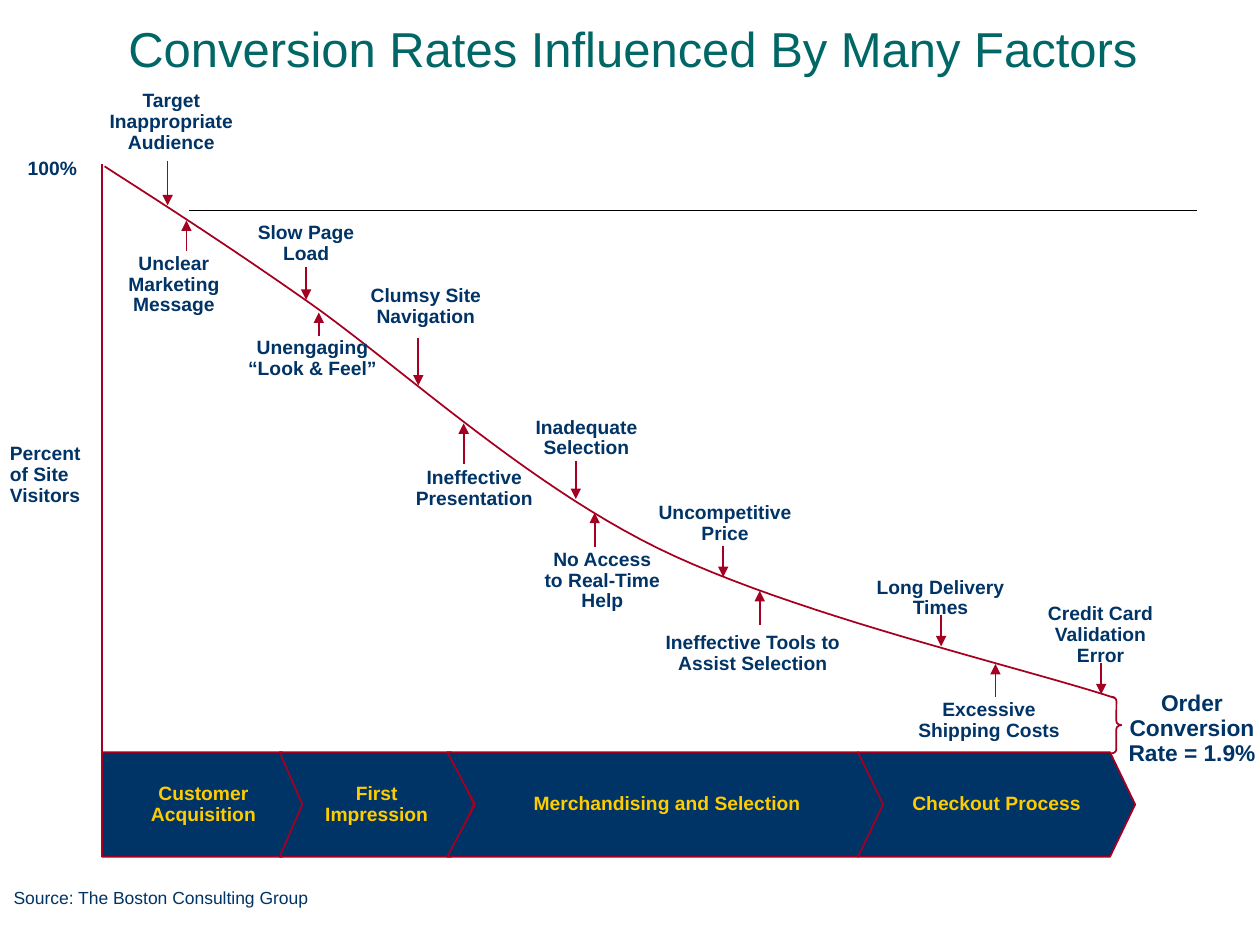
from lxml import etree
from pptx import Presentation, util as u
from pptx.dml.color import RGBColor
from pptx.enum import shapes, text
from pptx.oxml.ns import qn

COLORS = {"teal": "006666", "navy": "003366", "red": "A50021", "gold": "FFCC00", "black": "000000"}
FONT = "Arial"
TITLE = "Conversion Rates Influenced By Many Factors"
SOURCE = "Source: The Boston Consulting Group"

# Factors: lines, (left, top, width) of the label, (x, start y, end y) of the arrow
FACTORS = [
    ("Target\nInappropriate\nAudience", (0.77, 0.67, 1.18), (1.33, 1.28, 1.63)),
    ("Unclear\nMarketing\nMessage", (0.92, 1.96, 0.92), (1.48, 1.99, 1.75)),
    ("Slow Page\nLoad", (1.95, 1.72, 0.96), (2.43, 2.12, 2.38)),
    ("Unengaging\n“Look & Feel”", (1.87, 2.63, 1.22), (2.53, 2.67, 2.48)),
    ("Clumsy Site\nNavigation", (2.84, 2.22, 1.08), (3.32, 2.68, 3.06)),
    ("Ineffective\nPresentation", (3.2, 3.66, 1.13), (3.68, 3.68, 3.36)),
    ("Inadequate\nSelection", (4.15, 3.26, 1.01), (4.57, 3.66, 3.96)),
    ("No Access\nto Real-Time\nHelp", (4.22, 4.31, 1.12), (4.72, 4.34, 4.07)),
    ("Uncompetitive\nPrice", (5.13, 3.94, 1.25), (5.74, 4.33, 4.58)),
    ("Ineffective Tools to\nAssist Selection", (5.18, 4.97, 1.59), (6.03, 4.96, 4.69)),
    ("Long Delivery\nTimes", (6.86, 4.53, 1.21), (7.47, 4.88, 5.13)),
    ("Excessive\nShipping Costs", (7.19, 5.5, 1.32), (7.9, 5.53, 5.27)),
    ("Credit Card\nValidation\nError", (8.22, 4.74, 1.03), (8.74, 5.26, 5.51)),
]
# Stages: text, left, shoulder, tip, notch depth
STAGES = [
    ("Customer Acquisition", 0.81, 2.24, 2.42, 0),
    ("First\nImpression", 2.22, 3.58, 3.76, 0.18),
    ("Merchandising and Selection", 3.55, 6.81, 7.04, 0.22),
    ("Checkout Process", 6.81, 8.81, 9.01, 0.2),
]
STAGE_TOP, STAGE_HEIGHT = 5.97, 0.83
AXIS_X = 0.81
# Visitor curve: start, then (control, control, end) for each cubic segment
CURVE_START = (0.83, 1.32)
CURVE = [
    ((1.09, 1.49), (1.65, 1.84), (2.38, 2.35)),
    ((3.11, 2.85), (4.14, 3.82), (5.22, 4.35)),
    ((6.3, 4.88), (8.09, 5.29), (8.85, 5.54)),
]
CURVE_STEPS = 24

presentation = Presentation()
presentation.slide_width, presentation.slide_height = u.Inches(10), u.Inches(7.5)
slide = presentation.slides.add_slide(presentation.slide_layouts[6])


def color(name):
    return RGBColor.from_string(COLORS[name])


def write(shape, words, size, tint, bold=True, align="CENTER", spacing=0.9, anchor="MIDDLE"):
    frame = shape.text_frame
    frame.text = words
    frame.vertical_anchor = text.MSO_ANCHOR[anchor]
    for paragraph in frame.paragraphs:
        paragraph.alignment = text.PP_ALIGN[align]
        paragraph.line_spacing = spacing
        for run in paragraph.runs:
            run.font.name, run.font.size, run.font.bold = FONT, u.Pt(size), bold
            run.font.color.rgb = color(tint)


def add_label(words, left, top, width, size=11, **style):
    height = 0.1 + (words.count("\n") + 1) * size * 0.0152
    box = slide.shapes.add_textbox(*map(u.Inches, (left, top, width, height)))
    write(box, words, size, "navy", **style)
    frame = box.text_frame
    frame.word_wrap = False
    frame.auto_size = text.MSO_AUTO_SIZE.SHAPE_TO_FIT_TEXT
    frame.margin_right = 0
    if "align" not in style:  # centred labels use the full width of the box
        frame.margin_left = 0


def add_line(start, end, tint="red", arrow=False):
    line = slide.shapes.add_connector(shapes.MSO_CONNECTOR.STRAIGHT, *map(u.Inches, start + end))
    line.line.color.rgb, line.line.width = color(tint), u.Pt(1)
    if arrow:
        etree.SubElement(line.line._get_or_add_ln(), qn("a:tailEnd"), type="triangle")
    etree.SubElement(line._element.spPr, qn("a:effectLst"))


def outline(shape, fill=None):
    shape.shadow.inherit = False
    shape.line.color.rgb, shape.line.width = color("red"), u.Pt(1)
    if fill:
        shape.fill.solid()
        shape.fill.fore_color.rgb = color(fill)
    else:
        shape.fill.background()


def add_path(points, close, fill=None):
    corners = [(u.Inches(x), u.Inches(y)) for x, y in points]
    builder = slide.shapes.build_freeform(*corners[0])
    builder.add_line_segments(corners[1:], close=close)
    shape = builder.convert_to_shape()
    outline(shape, fill)
    return shape


def cubic(t, *values):
    weights = ((1 - t) ** 3, 3 * t * (1 - t) ** 2, 3 * t ** 2 * (1 - t), t ** 3)
    return sum(weight * value for weight, value in zip(weights, values))


# Title and rule
add_line((1.5, 1.67), (9.5, 1.67), "black")
title = slide.shapes.add_textbox(*map(u.Inches, (0.92, -0.17, 9.83, 0.83)))
title.text_frame.word_wrap = True
write(title, TITLE, 28, "teal", bold=False, align="LEFT", spacing=1.0, anchor="BOTTOM")

# Process stages
for words, left, shoulder, tip, notch in STAGES:
    middle, bottom = STAGE_TOP + STAGE_HEIGHT / 2, STAGE_TOP + STAGE_HEIGHT
    points = [(left, STAGE_TOP), (shoulder, STAGE_TOP), (tip, middle), (shoulder, bottom), (left, bottom)]
    if notch:
        points.append((left + notch, middle))
    stage = add_path(points, True, "navy")
    stage.text_frame.word_wrap = True
    write(stage, words, 11, "gold")

# Axis and visitor curve
add_line((AXIS_X, 6.02), (AXIS_X, 1.3))
curve_points = [CURVE_START]
for segment in CURVE:
    controls = (curve_points[-1], *segment)
    curve_points += [tuple(cubic(step / CURVE_STEPS, *axis) for axis in zip(*controls))
                     for step in range(1, CURVE_STEPS + 1)]
add_path(curve_points, False)

# Factors along the curve
for words, place, (x, start, end) in FACTORS:
    add_label(words, *place)
    add_line((x, start), (x, end), arrow=True)

# Final rate
brace = slide.shapes.add_shape(shapes.MSO_SHAPE.RIGHT_BRACE, *map(u.Inches, (8.82, 5.53, 0.08, 0.45)))
brace.adjustments[0] = 0.4
outline(brace)
add_label("Order\nConversion\nRate = 1.9%", 8.86, 5.44, 1.2, size=13)

# Axis labels and source
add_label("100%", 0.12, 1.21, 0.59)
add_label("Percent\nof Site\nVisitors", -0.02, 3.47, 0.76, align="LEFT")
add_label(SOURCE, 0.01, 7, 2.54, size=10, bold=False, align="LEFT", spacing=1.0)

presentation.save("out.pptx")
